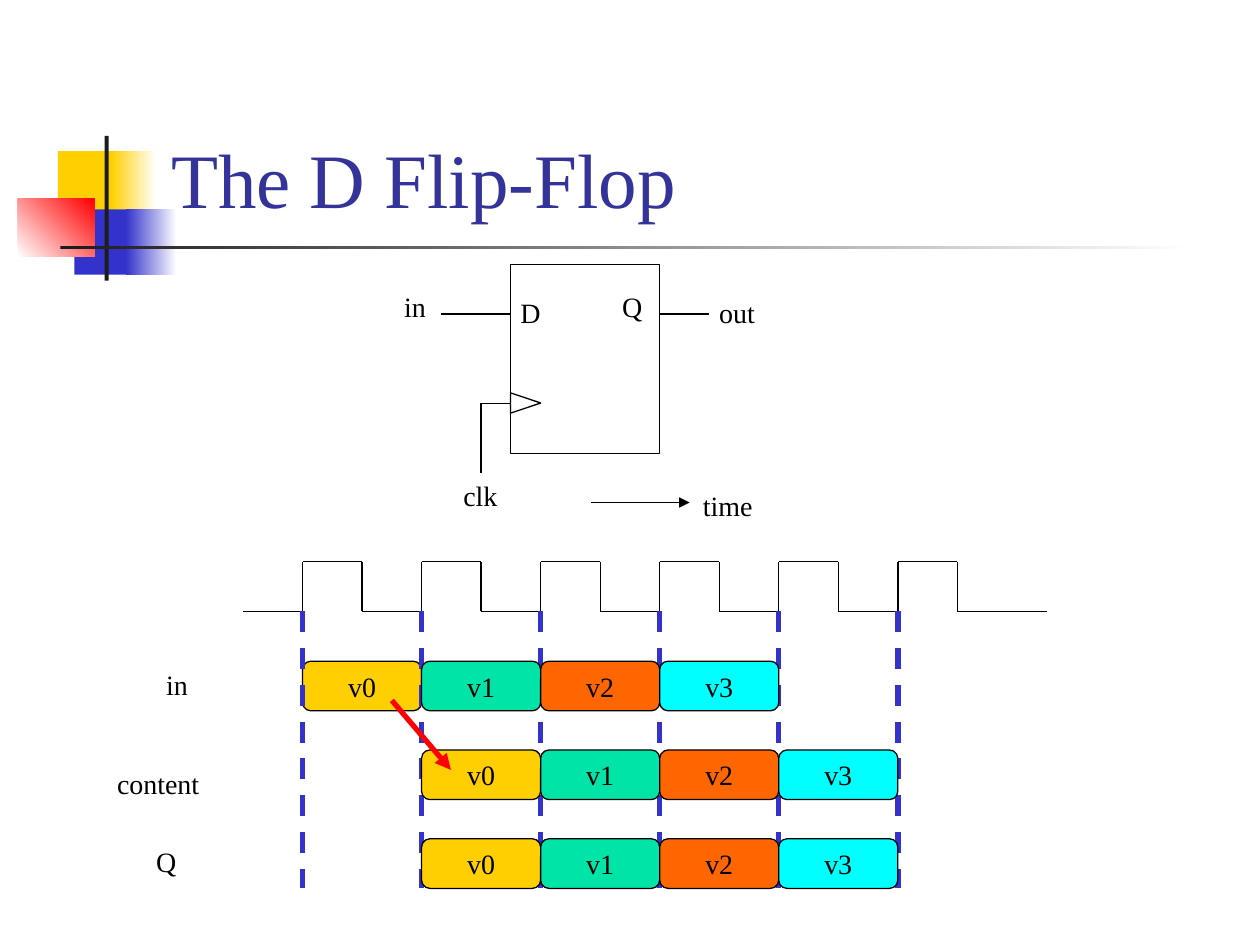
from itertools import pairwise

from lxml import etree
from pptx import Presentation
from pptx.dml.color import RGBColor
from pptx.enum.dml import MSO_LINE
from pptx.enum.shapes import MSO_CONNECTOR, MSO_SHAPE
from pptx.enum.text import MSO_ANCHOR, MSO_AUTO_SIZE, PP_ALIGN
from pptx.oxml.ns import qn
from pptx.util import Cm, Pt

RECT = MSO_SHAPE.RECTANGLE
ROUND = MSO_SHAPE.ROUNDED_RECTANGLE
WEDGE = MSO_SHAPE.ISOSCELES_TRIANGLE
DASH = MSO_LINE.DASH
INK = {
    "black": "000000", "white": "FFFFFF", "dark": "1C1C1C", "title": "333399",
    "gold": "FFCF01", "blue": "3333CC", "red": "FF0000",
    "green": "00E4A8", "orange": "FF6600", "cyan": "00FFFF",
}
RGB = {name: RGBColor.from_string(code) for name, code in INK.items()}

deck = Presentation()
deck.slide_width, deck.slide_height = Cm(25.4), Cm(19.05)
slide = deck.slides.add_slide(deck.slide_layouts[6])
shapes = slide.shapes


def block(box, kind=None, fill=None, edge=True, text="", size=16, ink="black"):
    """Add a preset shape, or a text box if kind is None; two fills blend."""
    place = [Cm(n) for n in box]
    if kind is None:
        item = shapes.add_textbox(*place)
    else:
        item = shapes.add_shape(kind, *place)
        item.shadow.inherit = False
        if isinstance(fill, tuple):
            item.fill.gradient()
            for stop, name in zip(item.fill.gradient_stops, fill):
                stop.color.rgb = RGB[name]
            item.fill.gradient_angle = 0
        elif fill:
            item.fill.solid()
            item.fill.fore_color.rgb = RGB[fill]
        else:
            item.fill.background()
        if edge:
            item.line.color.rgb = RGB["black"]
            item.line.width = Pt(0.75)
        else:
            item.line.fill.background()
    if text:
        frame = item.text_frame
        frame.text = text
        frame.word_wrap = False
        font = frame.paragraphs[0].runs[0].font
        look = {"name": "Times New Roman", "size": Pt(size)}
        for key, value in look.items():
            setattr(font, key, value)
        font.color.rgb = RGB[ink]
    return item


def wire(start, end, ink="black", width=0.75, dash=None, arrow=False):
    """Draw a straight line between two (x, y) points."""
    ends = [Cm(n) for n in (*start, *end)]
    item = shapes.add_connector(MSO_CONNECTOR.STRAIGHT, *ends)
    look = {"width": Pt(width), "dash_style": dash}
    for key, value in look.items():
        setattr(item.line, key, value)
    item.line.color.rgb = RGB[ink]
    props = item._element.spPr
    if arrow:
        etree.SubElement(props.find(qn("a:ln")), qn("a:tailEnd"), type="triangle")
    etree.SubElement(props, qn("a:effectLst"))


# Corner squares, bars and title
for box, fill in [
    ((1.17, 3.05, 1.22, 1.32), "gold"),
    ((2.24, 3.05, 0.91, 1.32), ("gold", "white")),
    ((1.5, 4.22, 1.17, 1.32), "blue"),
    ((2.54, 4.22, 1.02, 1.32), ("blue", "white")),
]:
    block(box, RECT, fill, edge=False)
patch = block((0.36, 4.01, 1.55, 1.17), RECT, ("white", "red"), edge=False)
patch.fill.gradient_angle = 45
block((2.11, 2.74, 0.08, 2.92), RECT, "dark", edge=False)
block((1.22, 4.95, 22.86, 0.08), RECT, ("dark", "white"), edge=False)
title = block((3.2, 0.58, 21.64, 4.06), text="The D Flip-Flop", size=44, ink="title")
title.text_frame.word_wrap = True
title.text_frame.vertical_anchor = MSO_ANCHOR.BOTTOM

# Clock wave
HALF, LOW, HIGH = 1.2, 12.32, 11.32
CYCLE = 2 * HALF
LEFT = 6.1
edges = [LEFT + i * CYCLE for i in range(6)]
wave = [(LEFT - HALF, LOW)]
for x in edges:
    wave += [(x, LOW), (x, HIGH), (x + HALF, HIGH), (x + HALF, LOW)]
wave.append((21.1, LOW))
for start, end in pairwise(wave):
    wire(start, end)

# Values in each row: (top, first clock edge)
TALL = 1
rows = [(13.33, 0), (15.12, 1), (16.91, 1)]
fills = ["gold", "green", "orange", "cyan"]
cells = [
    (edges[first + i], top, fill, f"v{i}")
    for top, first in rows for i, fill in enumerate(fills)
]
for n, (x, top, fill, text) in enumerate(cells):
    cell = block((x, top, CYCLE, TALL), ROUND, fill, text=text)
    cell.text_frame.vertical_anchor = MSO_ANCHOR.MIDDLE
    cell.text_frame.paragraphs[0].alignment = PP_ALIGN.CENTER
    if n == 0:  # the dashed edges lie above the first value only
        for edge in edges:
            wire((edge, LOW), (edge, rows[-1][0] + TALL), "blue", 3, DASH)

# Flip-flop and its wires
block((10.29, 5.34, 3, 3.8), RECT)
block((10.39, 7.82, 0.41, 0.61), WEDGE).rotation = 90
wire((13.29, 6.33), (14.3, 6.33))
wire((10.29, 6.33), (8.89, 6.33))
wire((10.29, 8.13), (9.7, 8.13))
wire((9.7, 8.13), (9.7, 9.53))
wire((11.91, 10.13), (13.9, 10.13), arrow=True)

# Labels
for text, x, y, wide in [
    ("in", 3.1, 13.33, 0.94), ("content", 2.11, 15.32, 2.16),
    ("Q", 2.9, 16.91, 0.91), ("time", 13.92, 9.73, 1.5),
    ("D", 10.24, 5.84, 0.91), ("Q", 12.29, 5.72, 0.91),
    ("in", 7.9, 5.72, 0.94), ("out", 14.25, 5.84, 1.22),
    ("clk", 9.09, 9.53, 1.19),
]:
    label = block((x, y, wide, 0.94), text=text)
    label.text_frame.auto_size = MSO_AUTO_SIZE.SHAPE_TO_FIT_TEXT

wire((7.9, 14.12), (9.09, 15.52), "red", 3, arrow=True)

deck.save("out.pptx")
